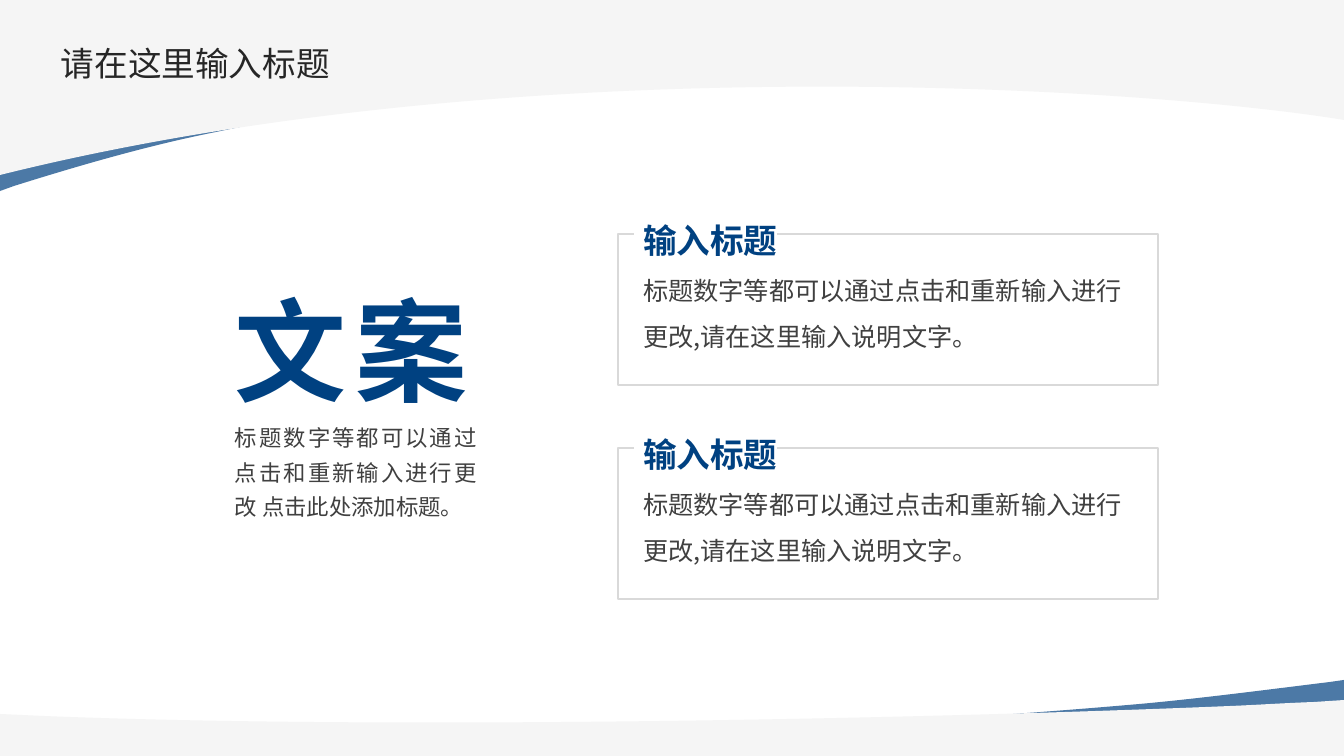
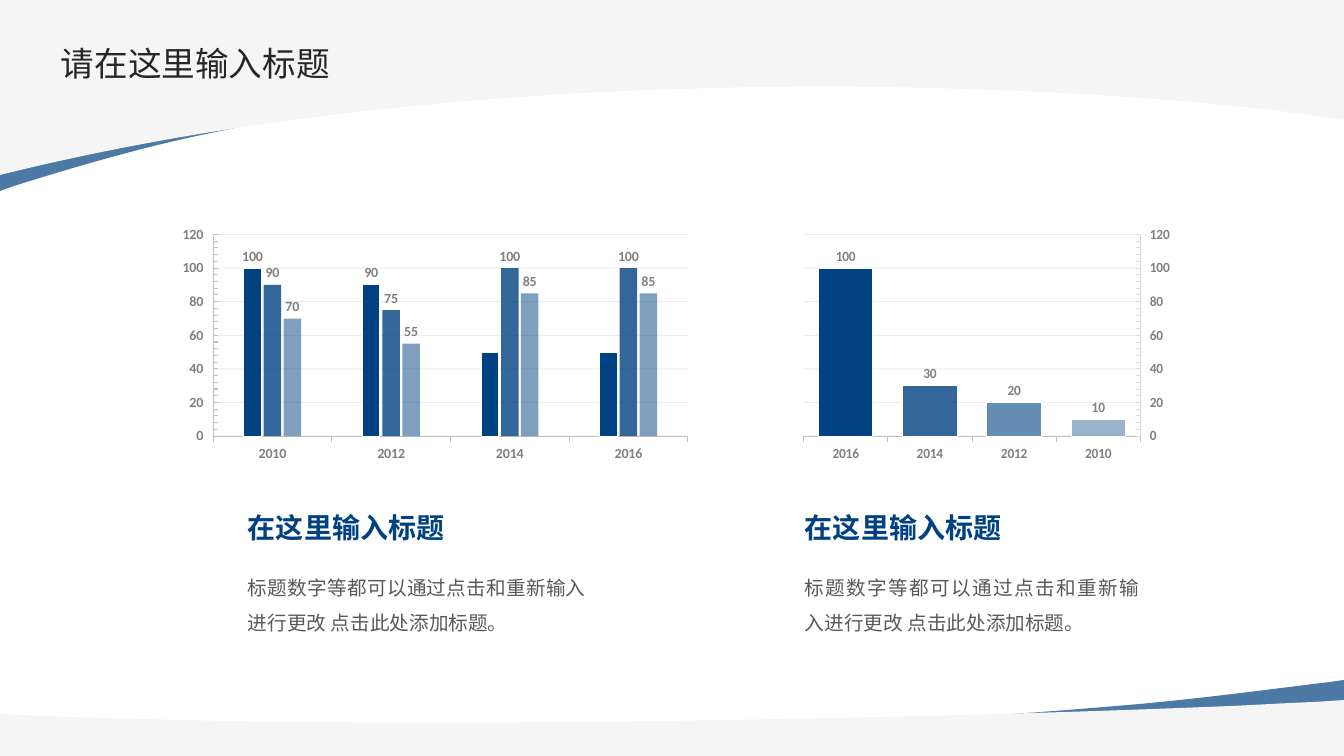
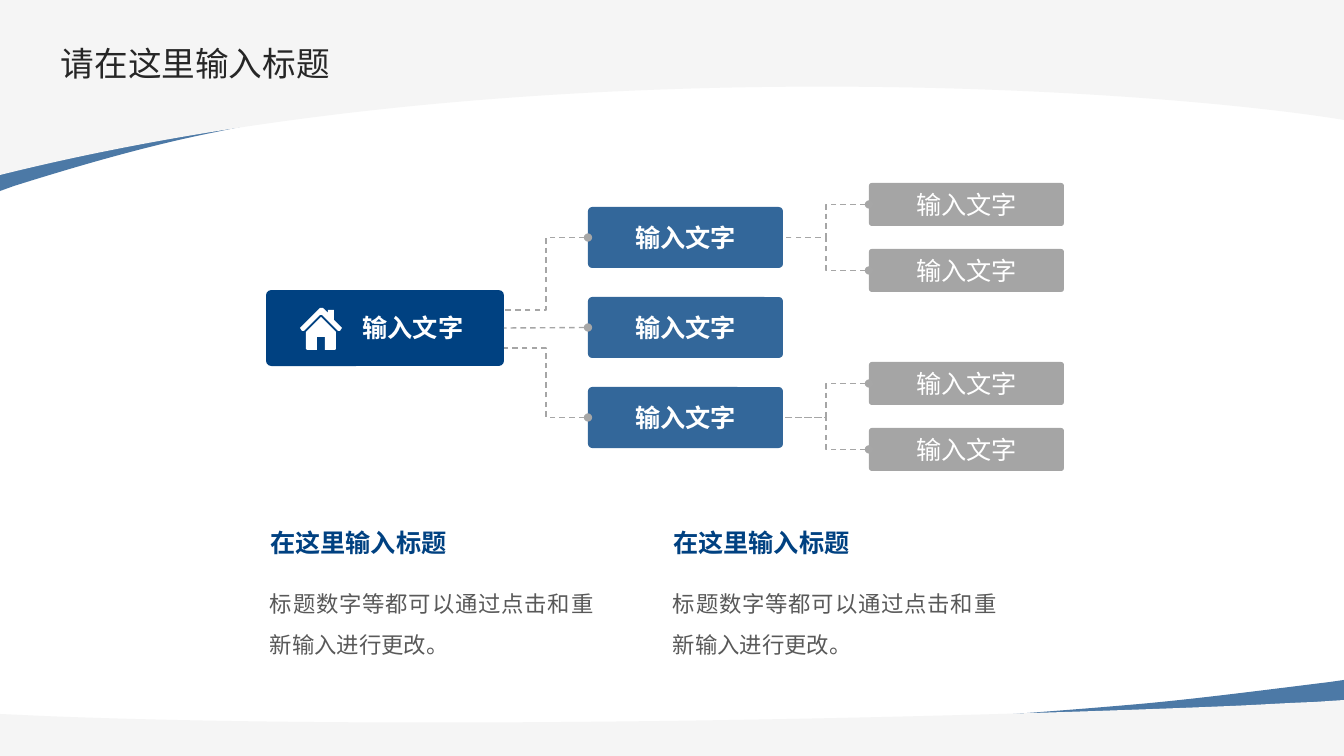
from dataclasses import dataclass

from lxml.etree import Element, SubElement
from pptx import Presentation
from pptx.chart.data import CategoryChartData
from pptx.dml.color import RGBColor
from pptx.enum.chart import XL_CHART_TYPE, XL_LABEL_POSITION, XL_TICK_LABEL_POSITION, XL_TICK_MARK
from pptx.enum.dml import MSO_LINE
from pptx.enum.lang import MSO_LANGUAGE_ID
from pptx.enum.shapes import MSO_CONNECTOR, MSO_SHAPE
from pptx.enum.text import MSO_ANCHOR, PP_ALIGN
from pptx.oxml import parse_xml
from pptx.oxml.ns import nsdecls, qn
from pptx.util import Emu, Pt

SCALE = 914400 / 100.8
FONT = "Noto Sans CJK SC"
BLUE, PALE, WHITE = "004181", "F5F5F5", "FFFFFF"
INK, DARK, TEXT, GREY = "262626", "404040", "595959", "808080"
WIRE, AXIS, RULE = "A6A6A6", "BFBFBF", "D9D9D9"
LABEL = "输入文字"
LONG = "标题数字等都可以通过点击和重新输入进行更改 点击此处添加标题。"
BRIEF = "标题数字等都可以通过点击和重新输入进行更改。"
DETAIL = "标题数字等都可以通过点击和重新输入进行更改,请在这里输入说明文字。"
YEARS = ("2010", "2012", "2014", "2016")


@dataclass
class Band:
    color: str
    alpha: int
    points: list


@dataclass
class Note:
    x: int
    y: int
    width: int
    drop: int
    head: int
    size: int
    text: str


@dataclass
class Row:
    values: tuple
    tints: tuple
    shown: int = 4


@dataclass
class Graph:
    box: tuple
    gap: int
    lap: int
    rows: list
    line: str = AXIS
    flip: bool = False


BANDS = [
    Band(BLUE, 70, [(0, 191), (0, 22), (1344, 22), (1344, 92),
                    (1040, 6, 518, 68, 216, 132), (155, 144, 87, 163, 14, 186)]),
    Band(PALE, 100, [(0, 0), (1344, 0), (1344, 120), (1149, 88, 521, 45, 0, 175)]),
    Band(BLUE, 70, [(1344, 680), (1344, 750), (0, 750), (0, 721),
                    (303, 756, 827, 731, 1128, 705), (1188, 700, 1257, 691, 1330, 682)]),
    Band(PALE, 100, [(1344, 700), (1344, 756), (0, 756), (0, 714), (44, 716),
                     (395, 730, 917, 719, 1230, 706), (1256, 705, 1285, 703, 1314, 702)]),
]
ROOF = [(342, 328), (340, 331), (338, 331), (322, 315), (320, 315), (304, 331), (302, 331),
        (300, 328), (320, 308), (323, 308), (328, 313), (328, 310), (334, 310), (334, 320)]
WALL = [(336, 332), (336, 349), (335, 350), (325, 350), (325, 337), (317, 337), (317, 350),
        (307, 350), (306, 349), (306, 332), (321, 317)]
GRAPHS = [
    Graph((163, 223, 540, 252), 351, -14, [
        Row((100, 90, 50, 50), (100,) * 4, 2),
        Row((90, 75, 100, 100), (80,) * 4),
        Row((70, 55, 85, 85), (50,) * 4)]),
    Graph((768, 223, 402, 252), 55, -16, [
        Row((10, 20, 30, 100), (40, 60, 80, 100))], RULE, True),
]


def px(n: float) -> Emu:
    return Emu(round(n * SCALE))


def paint(fill, color: str, alpha: int = 100) -> None:
    fill.solid()
    fill.fore_color.rgb = RGBColor.from_string(color)
    if alpha < 100:
        tone = fill._xPr.find(qn("a:solidFill"))[0]
        SubElement(tone, qn("a:alpha")).set("val", str(alpha * 1000))


def stroke(line, color: str, width: float, alpha: int = 100) -> None:
    paint(line.fill, color, alpha)
    line.width = Pt(width)


def write(frame, text: str, *, size: int, color: str, bold: bool = False, align=PP_ALIGN.LEFT,
          lines=1.0, before: int = 0, anchor=MSO_ANCHOR.TOP, wrap: bool = True,
          pad: tuple = (10, 5, 10, 5)) -> None:
    frame.word_wrap, frame.vertical_anchor = wrap, anchor
    (frame.margin_left, frame.margin_top,
     frame.margin_right, frame.margin_bottom) = map(px, pad)
    para = frame.paragraphs[0]
    if para.runs:
        para.add_line_break()
    para.alignment, para.line_spacing, para.space_before = align, lines, Pt(before)
    run = para.add_run()
    run.text = text
    font = run.font
    font.size, font.bold, font.name = Pt(size), bold, FONT
    font.color.rgb = RGBColor.from_string(color)
    font.language_id = MSO_LANGUAGE_ID.SIMPLIFIED_CHINESE
    SubElement(run._r.get_or_add_rPr(), qn("a:ea")).set("typeface", FONT)


def area(slide, *box: int):
    return slide.shapes.add_textbox(*map(px, box)).text_frame


def bend(shape, node, point: tuple) -> None:
    node.tag = qn("a:cubicBezTo")
    for i in (0, 2):
        grip = Element(qn("a:pt"))
        grip.set("x", str(px(point[i]) - shape.left))
        grip.set("y", str(px(point[i + 1]) - shape.top))
        node.insert(i // 2, grip)


def draw(slide, *loops: list, close: bool = True):
    ends = [[(px(p[-2]), px(p[-1])) for p in loop] for loop in loops]
    pen = slide.shapes.build_freeform(*ends[0][0], scale=1.0)
    for i, loop in enumerate(ends):
        if i:
            pen.move_to(*loop[0])
        pen.add_line_segments(loop[1:], close=close)
    shape = pen.convert_to_shape()
    nodes = list(shape.element.iter(qn("a:lnTo")))
    for node, point in zip(nodes, [p for loop in loops for p in loop[1:]]):
        if len(point) > 2:
            bend(shape, node, point)
    shape.shadow.inherit = False
    shape.line.fill.background()
    return shape


def dress(slide, layout) -> None:
    tree = layout.shapes._spTree
    for band in BANDS:
        shape = draw(slide, band.points)
        paint(shape.fill, band.color, band.alpha)
        tree.append(shape.element)


def title(slide) -> None:
    write(area(slide, 53, 39, 1210, 58), "请在这里输入标题", size=24, color=INK,
          lines=0.9, pad=(8, 8, 0, 8))


def card(slide, y: int) -> None:
    frame = area(slide, 633, y, 523, 166)
    write(frame, "输入标题", size=24, color=BLUE, bold=True)
    write(frame, DETAIL, size=18, color=DARK, lines=1.5, before=5)
    top, base = y + 39, y + 190
    edge = draw(slide, [(777, top), (1158, top), (1158, base), (618, base), (618, top),
                        (634, top)], close=False)
    edge.fill.background()
    stroke(edge.line, RULE, 1)


def note(slide, item: Note) -> None:
    write(area(slide, item.x, item.y + item.drop, item.width, 80), item.text, size=item.size,
          color=TEXT, align=PP_ALIGN.JUSTIFY, lines=1.5)
    write(area(slide, item.x, item.y, 11 * item.head, 33), "在这里输入标题", size=item.head,
          color=BLUE, bold=True, lines=Pt(15), anchor=MSO_ANCHOR.MIDDLE, wrap=False)


def graph(slide, item: Graph) -> None:
    data = CategoryChartData()
    data.categories = YEARS
    for i, row in enumerate(item.rows, 1):
        data.add_series(f"Series {i}", row.values)
    chart = slide.shapes.add_chart(XL_CHART_TYPE.COLUMN_CLUSTERED, *map(px, item.box),
                                   data).chart
    chart.has_legend = chart.has_title = False
    font = chart.font
    font.size, font.bold, font.name = Pt(10), True, "Calibri"
    font.color.rgb = RGBColor.from_string(GREY)
    plot = chart.plots[0]
    plot.gap_width, plot.overlap, plot.vary_by_categories = item.gap, item.lap, False
    for row, bars in zip(item.rows, plot.series):
        paint(bars.format.fill, BLUE, row.tints[-1])
        if row.tints[-1] == 100:
            stroke(bars.format.line, WHITE, 0.75)
        for i, tint in enumerate(row.tints):
            if tint != row.tints[-1]:
                dot = bars.points[i].format
                paint(dot.fill, BLUE, tint)
                stroke(dot.line, WHITE, 0.75)
        for i in range(row.shown):
            bars.points[i].data_label.position = XL_LABEL_POSITION.OUTSIDE_END
    base, side = chart.category_axis, chart.value_axis
    base.major_tick_mark, base.reverse_order = XL_TICK_MARK.OUTSIDE, item.flip
    stroke(base.format.line, AXIS, 0.75)
    side.minimum_scale, side.maximum_scale, side.major_unit = 0, 120, 20
    side.major_tick_mark, side.minor_tick_mark = XL_TICK_MARK.NONE, XL_TICK_MARK.INSIDE
    side.minor_unit = 4
    side.tick_label_position = XL_TICK_LABEL_POSITION.LOW
    stroke(side.format.line, item.line, 0.75)
    stroke(side.major_gridlines.format.line, RULE, 0.75, 48)
    zone = chart._chartSpace.chart.plotArea
    for old in zone.findall(qn("c:layout")):
        zone.remove(old)
    zone.insert(0, parse_xml(
        f'<c:layout {nsdecls("c")}><c:manualLayout><c:layoutTarget val="inner"/>'
        '<c:xMode val="edge"/><c:yMode val="edge"/><c:x val="0.093"/><c:y val="0.046"/>'
        '<c:w val="0.879"/><c:h val="0.8"/></c:manualLayout></c:layout>'))


def block(slide, box: tuple, color: str, alpha: int = 100, text: str = "", bold: bool = True):
    shape = slide.shapes.add_shape(MSO_SHAPE.ROUNDED_RECTANGLE, *map(px, box))
    shape.adjustments[0] = 0.07
    shape.shadow.inherit = False
    paint(shape.fill, color, alpha)
    shape.line.fill.background()
    if text:
        write(shape.text_frame, text, size=18, color=WHITE, bold=bold, align=PP_ALIGN.CENTER,
              anchor=MSO_ANCHOR.MIDDLE, pad=(20, 10, 20, 10))
    return shape


def link(slide, child, owner, y: int) -> None:
    start = child.top + child.height // 2
    middle = owner.top + owner.height // 2
    flat = abs(px(y) - start) < px(1)
    kind = MSO_CONNECTOR.STRAIGHT if flat else MSO_CONNECTOR.ELBOW
    wire = slide.shapes.add_connector(kind, child.left, start, owner.left + owner.width, px(y))
    wire.begin_connect(child, 1)
    if abs(px(y) - middle) < px(1):
        wire.end_connect(owner, 3)
    stroke(wire.line, WIRE, 1)
    wire.line.dash_style = MSO_LINE.DASH
    SubElement(wire.line._get_or_add_ln(), qn("a:headEnd")).set("type", "oval")
    SubElement(wire.element.spPr, qn("a:effectLst"))


def copy_page(slide) -> None:
    for y in (195, 409):
        card(slide, y)
    frame = area(slide, 225, 236, 262, 365)
    write(frame, "文案", size=80, color=BLUE, bold=True)
    write(frame, LONG, size=16, color=DARK, align=PP_ALIGN.JUSTIFY, lines=1.3, before=16)


def chart_page(slide) -> None:
    for item in GRAPHS:
        graph(slide, item)
    for x, width in ((238, 358), (795, 354)):
        note(slide, Note(x, 517, width, 42, 20, 14, LONG))


def tree_page(slide) -> None:
    arms = [block(slide, (588, 207 + 90 * i, 195, 61), BLUE, 80, LABEL) for i in range(3)]
    root = block(slide, (266, 290, 238, 76), BLUE)
    write(area(slide, 342, 302, 142, 50), LABEL, size=18, color=WHITE, bold=True,
          align=PP_ALIGN.CENTER, anchor=MSO_ANCHOR.MIDDLE, wrap=False, pad=(20, 10, 20, 10))
    for arm, y in zip(arms, (310, 328, 348)):
        link(slide, arm, root, y)
    for arm, top, y in ((arms[0], 183, 238), (arms[2], 362, 418)):
        for i in range(2):
            leaf = block(slide, (869, top + 66 * i, 195, 43), GREY, 70, LABEL, False)
            link(slide, leaf, arm, y)
    paint(draw(slide, ROOF, WALL).fill, WHITE)
    for x in (260, 663):
        note(slide, Note(x, 531, 344, 41, 18, 16, BRIEF))


def main() -> None:
    deck = Presentation()
    deck.slide_width, deck.slide_height = px(1344), px(756)
    blank = deck.slide_layouts[6]
    for i, page in enumerate((copy_page, chart_page, tree_page)):
        slide = deck.slides.add_slide(blank)
        if i == 0:
            dress(slide, blank)
        title(slide)
        page(slide)
    deck.save("out.pptx")


if __name__ == "__main__":
    main()
